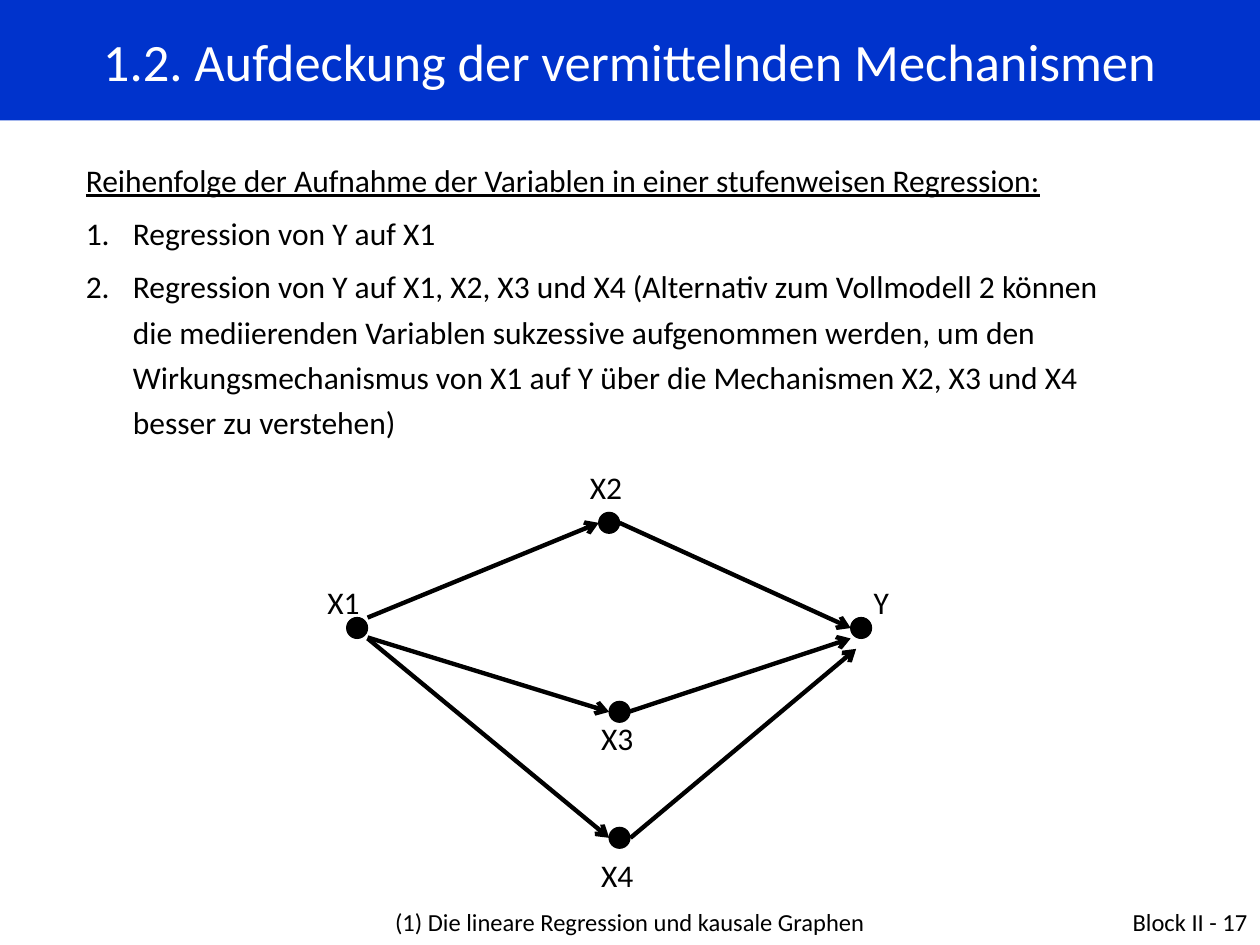
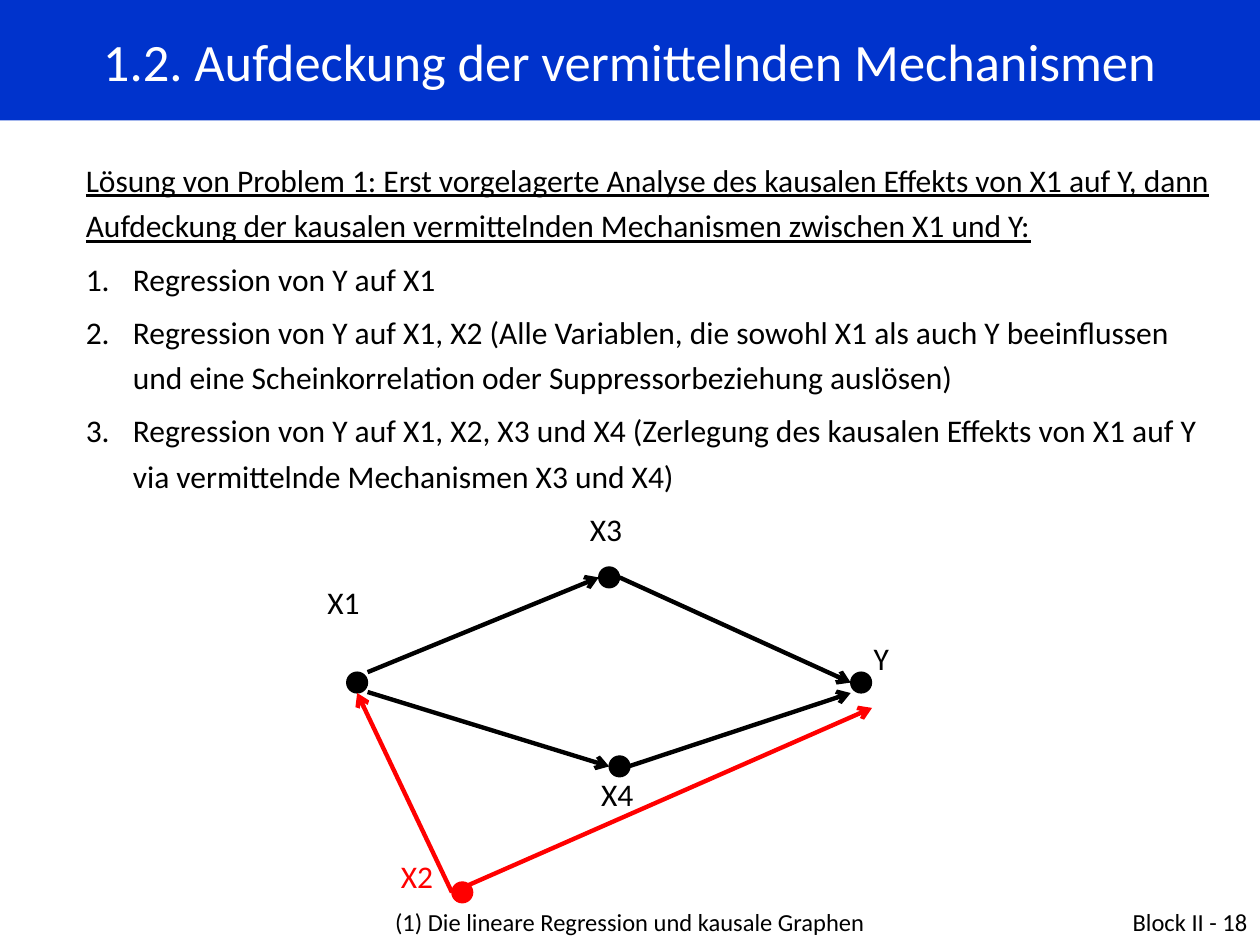
from pptx import Presentation
from pptx.dml.color import RGBColor
from pptx.enum.shapes import MSO_CONNECTOR, MSO_SHAPE
from pptx.enum.text import MSO_ANCHOR, PP_ALIGN
from pptx.oxml.ns import qn
from pptx.util import Cm, Pt
from lxml.etree import SubElement

COLORS = {"band": "0033CC", "title": "FFFFFF", "ink": "000000", "confounder": "FF0000"}
FONT = "Calibri"
TITLE = "1.2. Aufdeckung der vermittelnden Mechanismen"
FOOTER = "(1) Die lineare Regression und kausale Graphen"
WIDTH, HEIGHT = 25.4, 19.05
DOT = 0.42

CORE_DOTS = [(0, 2.12), (5.08, 0), (10.16, 2.12), (5.29, 3.81)]
CORE_ARROWS = [
    ((0.42, 2.12), (5.08, 0.21)),
    ((5.5, 0.21), (10.16, 2.33)),
    ((0.42, 2.52), (5.29, 4.02)),
    ((5.62, 4.04), (10.16, 2.54)),
]


def rgb(name):
    """Look up a palette colour."""
    return RGBColor.from_string(COLORS[name])


def style_text(p, size, color="ink", align=PP_ALIGN.LEFT, underline=False):
    """Format a paragraph and its runs."""
    p.alignment = align
    for r in p.runs:
        r.font.name = FONT
        r.font.size = Pt(size)
        r.font.color.rgb = rgb(color)
        r.font.underline = underline


def add_text(slide, text, box, size, color="ink", align=PP_ALIGN.LEFT):
    """Add a wrapping text box with one paragraph."""
    tf = slide.shapes.add_textbox(*map(Cm, box)).text_frame
    tf.word_wrap = True
    tf.text = text
    style_text(tf.paragraphs[0], size, color, align)


def add_filled(slide, kind, box, color):
    """Add a preset shape filled and outlined in one colour."""
    sp = slide.shapes.add_shape(kind, *map(Cm, box))
    sp.shadow.inherit = False
    sp.fill.solid()
    sp.fill.fore_color.rgb = rgb(color)
    sp.line.color.rgb = rgb(color)
    sp.line.width = Pt(0.75)
    return sp


def add_frame(slide, number):
    """Draw the title band and both footers."""
    band = add_filled(slide, MSO_SHAPE.RECTANGLE, (0, 0, WIDTH, 2.43), "band")
    band.line.fill.background()
    tf = band.text_frame
    tf.word_wrap = True
    tf.vertical_anchor = MSO_ANCHOR.MIDDLE
    tf.text = TITLE
    style_text(tf.paragraphs[0], 30, "title", PP_ALIGN.CENTER)
    add_text(slide, FOOTER, (6.14, 18.16, 13.12, 1.32), 14, align=PP_ALIGN.CENTER)
    add_text(slide, f"Block II - {number}", (19.48, 18.16, 5.92, 1.32), 14,
             align=PP_ALIGN.RIGHT)


def add_steps(slide, box, heading, steps):
    """Write an underlined heading above numbered regression steps."""
    tf = slide.shapes.add_textbox(*map(Cm, box)).text_frame
    tf.word_wrap = True
    tf.text = "\n".join([heading, *steps])
    for i, p in enumerate(tf.paragraphs):
        style_text(p, 18, underline=i == 0)
        p.line_spacing = 1.2
        p.space_after = Pt(4.5)
        if i:
            pPr = p._p.get_or_add_pPr()
            pPr.set("marL", str(Cm(0.95)))
            pPr.set("indent", str(-Cm(0.95)))
            SubElement(pPr, qn("a:buFont"), typeface="+mj-lt")
            SubElement(pPr, qn("a:buAutoNum"), type="arabicPeriod")


def add_arrow(slide, start, end, color):
    """Draw a straight line with an open arrowhead at its end."""
    line = slide.shapes.add_connector(MSO_CONNECTOR.STRAIGHT, *map(Cm, (*start, *end)))
    line.line.color.rgb = rgb(color)
    line.line.width = Pt(2.5)
    SubElement(line.line._get_or_add_ln(), qn("a:tailEnd"), type="arrow")
    SubElement(line._element.spPr, qn("a:effectLst"))


def add_graph(slide, left, top, dots, arrows, labels, color="ink"):
    """Draw causal arrows, nodes and node labels from the given corner."""
    for (x1, y1), (x2, y2) in arrows:
        add_arrow(slide, (left + x1, top + y1), (left + x2, top + y2), color)
    for x, y in dots:
        add_filled(slide, MSO_SHAPE.OVAL, (left + x, top + y, DOT, DOT), color)
    for name, (x, y) in labels.items():
        add_text(slide, name, (left + x, top + y, 1.48, 1.02), 18, color)


def add_order_slide(prs):
    """Show the order of entry with three mediators."""
    slide = prs.slides.add_slide(prs.slide_layouts[6])
    add_steps(slide, (1.48, 2.97, 21.41, 6.17),
              "Reihenfolge der Aufnahme der Variablen in einer stufenweisen Regression:",
              ["Regression von Y auf X1",
               "Regression von Y auf X1, X2, X3 und X4 (Alternativ zum Vollmodell 2 "
               "können die mediierenden Variablen sukzessive aufgenommen werden, um den "
               "Wirkungsmechanismus von X1 auf Y über die Mechanismen X2, X3 und X4 "
               "besser zu verstehen)"])
    third_mediator = [((0.42, 2.54), (5.29, 6.56)), ((5.72, 6.56), (10.27, 2.75))]
    add_graph(slide, 6.99, 10.33, CORE_DOTS + [(5.29, 6.35)],
              CORE_ARROWS + third_mediator,
              {"X1": (-0.64, 1.3), "Y": (10.37, 1.3), "X2": (4.65, -1.02),
               "X3": (4.88, 4.04), "X4": (4.88, 6.81)})
    add_frame(slide, 17)


def add_solution_slide(prs):
    """Show the solution with a confounder and two mediators."""
    slide = prs.slides.add_slide(prs.slide_layouts[6])
    add_steps(slide, (1.48, 2.97, 23.29, 7.29),
              "Lösung von Problem 1: Erst vorgelagerte Analyse des kausalen Effekts von "
              "X1 auf Y, dann Aufdeckung der kausalen vermittelnden Mechanismen zwischen "
              "X1 und Y:",
              ["Regression von Y auf X1",
               "Regression von Y auf X1, X2 (Alle Variablen, die sowohl X1 als auch Y "
               "beeinflussen und eine Scheinkorrelation oder Suppressorbeziehung auslösen)",
               "Regression von Y auf X1, X2, X3 und X4 (Zerlegung des kausalen Effekts "
               "von X1 auf Y via vermittelnde Mechanismen X3 und X4)"])
    left, top = 6.99, 11.43
    add_graph(slide, left, top, CORE_DOTS, CORE_ARROWS,
              {"X1": (-0.64, 0.2), "Y": (10.37, 1.32), "X3": (4.65, -1.27),
               "X4": (4.88, 4.06)})
    add_graph(slide, left, top, [(2.12, 6.35)],
              [((2.12, 6.56), (10.59, 2.84)), ((2.12, 6.56), (0.21, 2.54))],
              {"X2": (0.84, 5.72)}, "confounder")
    add_frame(slide, 18)


def main():
    """Build and save the presentation."""
    prs = Presentation()
    prs.slide_width, prs.slide_height = Cm(WIDTH), Cm(HEIGHT)
    add_order_slide(prs)
    add_solution_slide(prs)
    prs.save("out.pptx")


if __name__ == "__main__":
    main()
